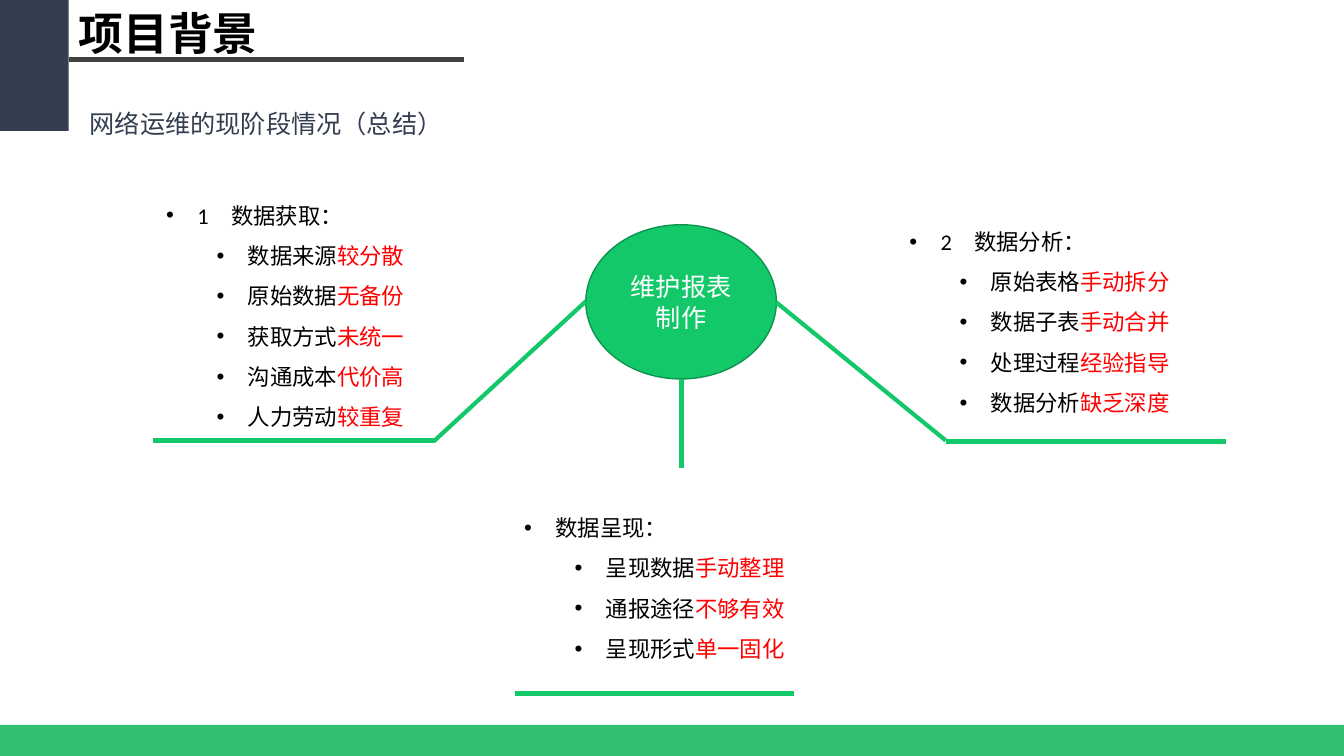
from lxml import etree
from pptx import Presentation
from pptx.dml.color import RGBColor
from pptx.enum import shapes, text
from pptx.oxml import ns
from pptx.util import Inches, Pt

GREEN = "12C869"
NAVY = "333F50"
BLACK = "000000"
RED = "FF0000"
CJK_FONT = "Noto Sans CJK SC"


def rgb(value):
    return RGBColor.from_string(value)


def add_child(parent, tag, **attributes):
    return etree.SubElement(parent, ns.qn(tag), attributes)


def add_run(paragraph, content, size, color, font="Calibri", bold=False):
    run = paragraph.add_run()
    run.text = content
    run.font.size = Pt(size)
    run.font.name = font
    run.font.bold = bold
    run.font.color.rgb = rgb(color)
    add_child(run.font._element, "a:ea", typeface=CJK_FONT)


def add_filled_shape(slide, kind, box, color, outline=None, opacity=None):
    shape = slide.shapes.add_shape(kind, *map(Inches, box))
    shape.shadow.inherit = False
    shape.fill.solid()
    shape.fill.fore_color.rgb = rgb(color)
    if opacity:
        color_element = shape._element.spPr.find(".//" + ns.qn("a:srgbClr"))
        add_child(color_element, "a:alpha", val=str(opacity * 1000))
    if outline:
        shape.line.color.rgb = rgb(outline)
        shape.line.width = Pt(1)
    else:
        shape.line.fill.background()
    return shape


def add_line(slide, start, end, color=GREEN):
    line = slide.shapes.add_connector(
        shapes.MSO_CONNECTOR.STRAIGHT, *map(Inches, start + end)
    )
    line.line.color.rgb = rgb(color)
    line.line.width = Pt(3)
    add_child(line._element.spPr, "a:effectLst")


def add_text_frame(slide, box):
    frame = slide.shapes.add_textbox(*map(Inches, box)).text_frame
    frame.word_wrap = True
    return frame


def add_label(slide, box, content, size, color, **style):
    frame = add_text_frame(slide, box)
    add_run(frame.paragraphs[0], content, size, color, **style)


def format_bullet(paragraph, level):
    paragraph.level = level
    paragraph.line_spacing = 1.5
    properties = paragraph._p.get_or_add_pPr()
    properties.set("marL", str(Inches(0.31 + 0.5 * level)))
    properties.set("indent", str(Inches(-0.31)))
    add_child(properties, "a:buFont", typeface="Arial")
    add_child(properties, "a:buChar", char="•")


def add_problem_list(slide, box, heading, problems):
    frame = add_text_frame(slide, box)
    format_bullet(frame.paragraphs[0], 0)
    add_run(frame.paragraphs[0], heading, 16, BLACK)
    for subject, problem in problems:
        paragraph = frame.add_paragraph()
        format_bullet(paragraph, 1)
        add_run(paragraph, subject, 16, BLACK)
        add_run(paragraph, problem, 16, RED)


def add_hub(slide, box, content):
    hub = add_filled_shape(slide, shapes.MSO_SHAPE.OVAL, box, GREEN, outline="0D944E")
    hub.text_frame.word_wrap = True
    hub.text_frame.vertical_anchor = text.MSO_ANCHOR.MIDDLE
    paragraph = hub.text_frame.paragraphs[0]
    paragraph.alignment = text.PP_ALIGN.CENTER
    add_run(paragraph, content, 18, "FFFFFF")


def main():
    presentation = Presentation()
    presentation.slide_width = Inches(13.33)
    presentation.slide_height = Inches(7.5)
    slide = presentation.slides.add_slide(presentation.slide_layouts[6])

    rectangle = shapes.MSO_SHAPE.RECTANGLE
    add_filled_shape(slide, rectangle, (0, 0, 0.68, 1.3), NAVY)
    add_label(slide, (0.68, 0.01, 2.01, 0.64), "项目背景", 32, BLACK,
              font=CJK_FONT, bold=True)
    add_line(slide, (0.68, 0.59), (4.6, 0.59), "404040")
    add_label(slide, (0.79, 1.03, 4.31, 0.4), "网络运维的现阶段情况（总结）", 18, NAVY)
    add_filled_shape(slide, rectangle, (0, 7.19, 13.33, 0.31), "00B050", opacity=80)

    add_hub(slide, (5.81, 2.23, 1.89, 1.53), "维护报表制作")
    branches = [
        ((1.52, 4.37), (4.3, 4.37)),
        ((4.3, 4.38), (5.81, 2.99)),
        ((6.76, 4.64), (6.76, 3.76)),
        ((5.11, 6.88), (7.88, 6.88)),
        ((9.38, 4.38), (12.16, 4.38)),
        ((9.38, 4.37), (7.7, 3)),
    ]
    for start, end in branches:
        add_line(slide, start, end)

    add_problem_list(slide, (1.55, 1.82, 3.28, 2.52), "1　数据获取：", [
        ("数据来源", "较分散"),
        ("原始数据", "无备份"),
        ("获取方式", "未统一"),
        ("沟通成本", "代价高"),
        ("人力劳动", "较重复"),
    ])
    add_problem_list(slide, (8.92, 2.08, 2.92, 2.12), "2　数据分析：", [
        ("原始表格", "手动拆分"),
        ("数据子表", "手动合并"),
        ("处理过程", "经验指导"),
        ("数据分析", "缺乏深度"),
    ])
    add_problem_list(slide, (5.1, 4.92, 3.32, 1.72), "数据呈现：", [
        ("呈现数据", "手动整理"),
        ("通报途径", "不够有效"),
        ("呈现形式", "单一固化"),
    ])

    presentation.save("out.pptx")


if __name__ == "__main__":
    main()
